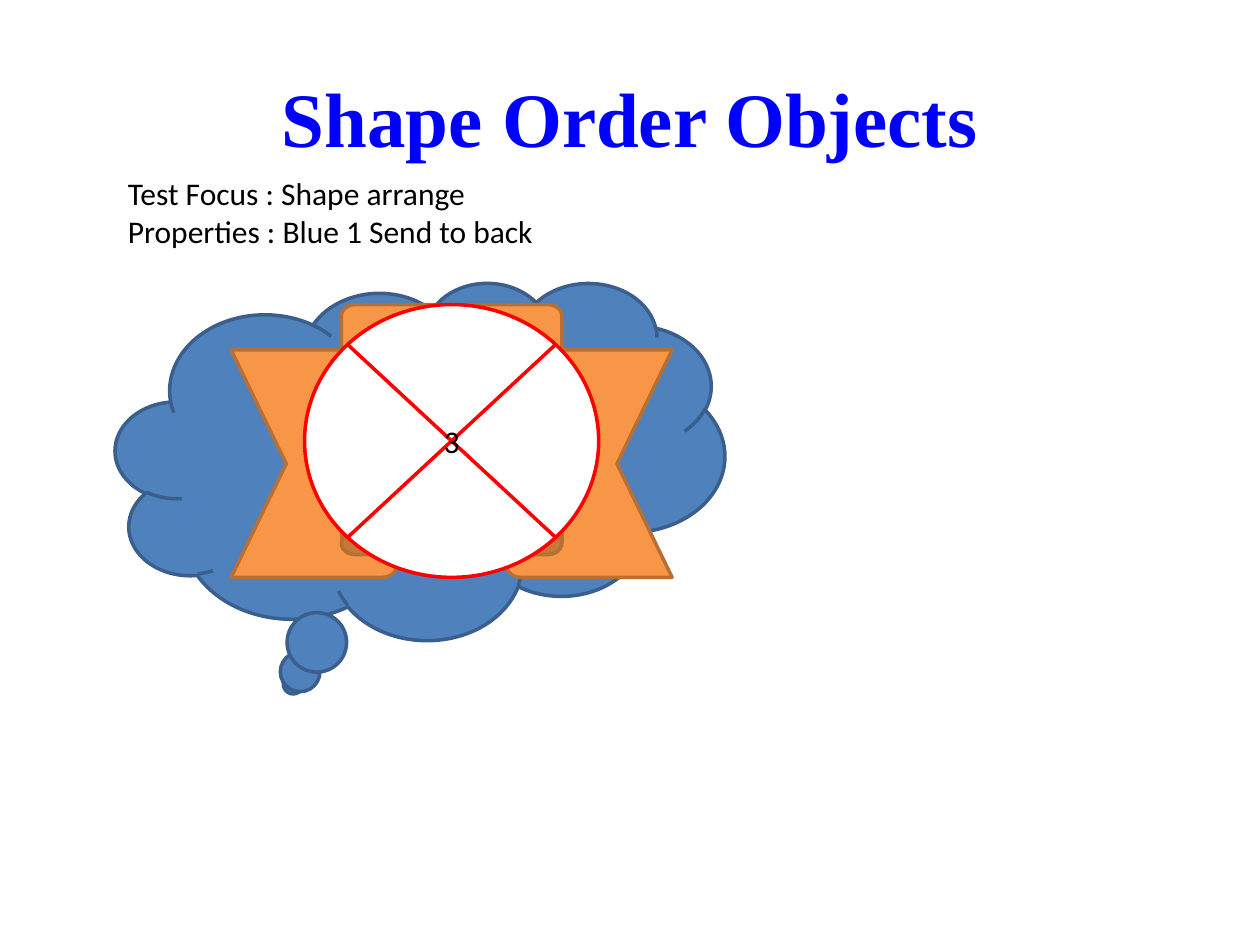
from dataclasses import dataclass

from pptx import Presentation
from pptx.dml.color import RGBColor
from pptx.enum import shapes, text
from pptx.util import Cm, Pt


@dataclass(frozen=True)
class Theme:
    blue: str = "4F81BD"
    blue_edge: str = "3A5F8C"
    orange: str = "F79646"
    orange_edge: str = "B76F34"
    white: str = "FFFFFF"
    red: str = "FF0000"
    heading: str = "0000FF"
    ink: str = "000000"
    heading_font: str = "Times New Roman"
    body_font: str = "Calibri"
    heading_size: int = 44
    body_size: int = 18
    edge_width: int = 2


def write(frame, lines, font, size, color, bold=False,
          align=text.PP_ALIGN.LEFT, anchor=text.MSO_ANCHOR.TOP):
    frame.vertical_anchor = anchor
    for index, line in enumerate(lines):
        paragraph = frame.add_paragraph() if index else frame.paragraphs[0]
        paragraph.alignment = align
        run = paragraph.add_run()
        run.text = line
        run.font.name = font
        run.font.size = Pt(size)
        run.font.bold = bold
        run.font.color.rgb = RGBColor.from_string(color)


class SlideBuilder:
    def __init__(self, slide, theme):
        self.slide = slide
        self.theme = theme

    def heading(self, words, left, top, width, height):
        heading = self.slide.shapes.title
        heading.left, heading.top = Cm(left), Cm(top)
        heading.width, heading.height = Cm(width), Cm(height)
        write(heading.text_frame, [words], self.theme.heading_font,
              self.theme.heading_size, self.theme.heading, bold=True,
              align=text.PP_ALIGN.CENTER, anchor=text.MSO_ANCHOR.MIDDLE)

    def note(self, lines, left, top, width, height):
        note = self.slide.shapes.add_textbox(
            Cm(left), Cm(top), Cm(width), Cm(height))
        note.text_frame.word_wrap = False
        note.text_frame.auto_size = text.MSO_AUTO_SIZE.SHAPE_TO_FIT_TEXT
        write(note.text_frame, lines, self.theme.body_font,
              self.theme.body_size, self.theme.ink)

    def figure(self, preset, left, top, width, height, fill, edge, label=None):
        figure = self.slide.shapes.add_shape(
            preset, Cm(left), Cm(top), Cm(width), Cm(height))
        figure.shadow.inherit = False
        figure.fill.solid()
        figure.fill.fore_color.rgb = RGBColor.from_string(fill)
        figure.line.color.rgb = RGBColor.from_string(edge)
        figure.line.width = Pt(self.theme.edge_width)
        if label:
            write(figure.text_frame, [label], self.theme.body_font,
                  self.theme.body_size, self.theme.ink,
                  align=text.PP_ALIGN.CENTER, anchor=text.MSO_ANCHOR.MIDDLE)
        return figure

    def send_to_back(self, figure):
        self.slide.shapes[0].element.addprevious(figure.element)


def main():
    deck = Presentation()
    deck.slide_width, deck.slide_height = Cm(25.4), Cm(19.05)
    theme = Theme()
    builder = SlideBuilder(deck.slides.add_slide(deck.slide_layouts[5]), theme)
    preset = shapes.MSO_SHAPE

    builder.heading("Shape Order Objects", 1.27, 0.76, 22.86, 3.18)
    builder.note(["Test Focus : Shape arrange",
                  "Properties : Blue 1 Send to back"], 2.33, 3.39, 8.8, 1.8)

    cloud = builder.figure(preset.CLOUD_CALLOUT, 2.33, 5.69, 12.28, 7.2,
                           theme.blue, theme.blue_edge)
    builder.send_to_back(cloud)

    ribbon_left, ribbon_width, junction_width = 4.66, 8.89, 5.93
    stack_top, stack_height = 6.14, 5.5
    junction_left = ribbon_left + (ribbon_width - junction_width) / 2
    builder.figure(preset.UP_RIBBON, ribbon_left, stack_top, ribbon_width,
                   stack_height, theme.orange, theme.orange_edge, "2")
    builder.figure(preset.FLOWCHART_SUMMING_JUNCTION, junction_left, stack_top,
                   junction_width, stack_height, theme.white, theme.red, "3")

    deck.save("out.pptx")


if __name__ == "__main__":
    main()
